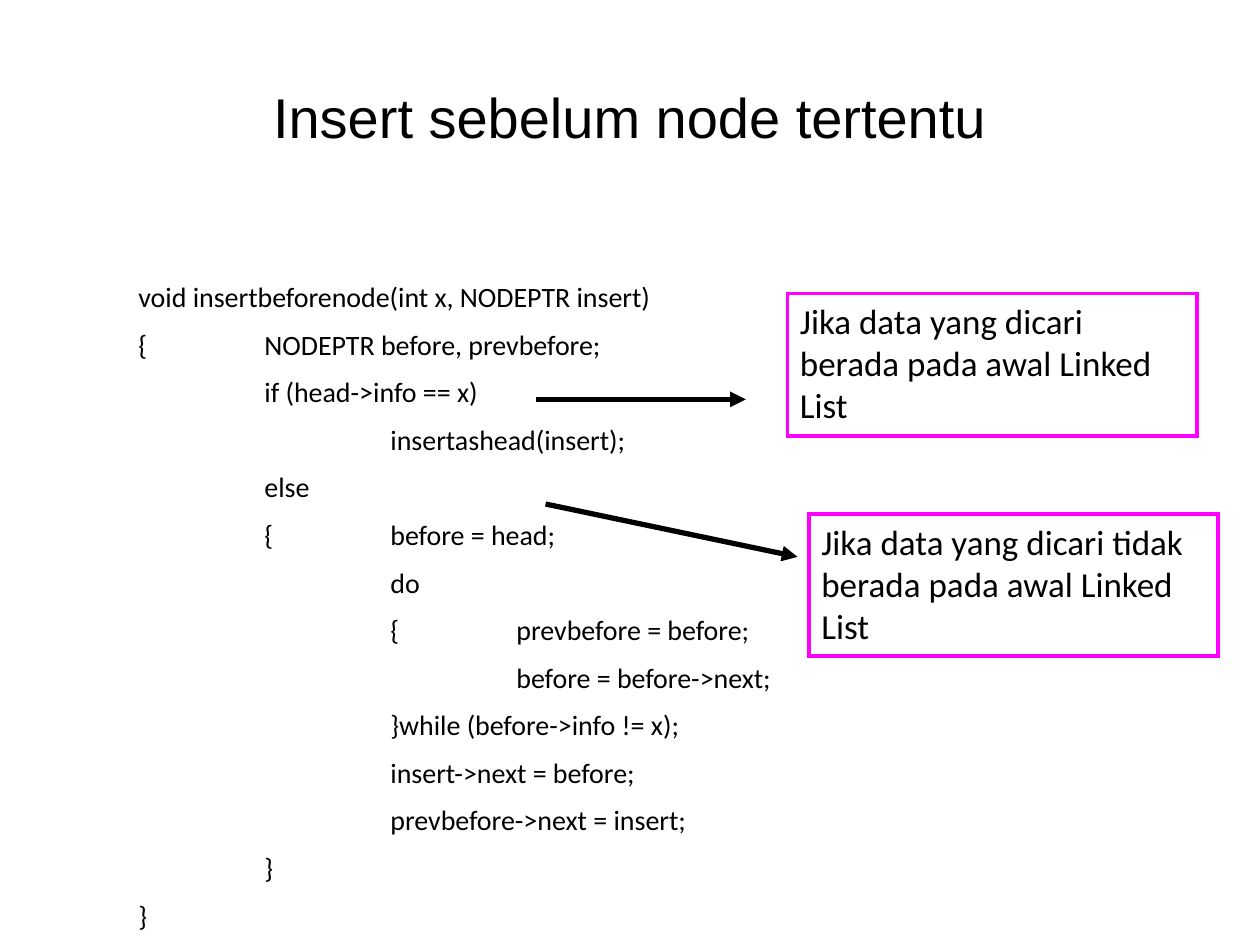
"""Builds the slide on inserting a linked-list node before a given node."""
from pptx import Presentation, util as u
from pptx.dml.color import RGBColor
from pptx.enum import shapes, text
from pptx.oxml import parse_xml
from pptx.oxml.ns import nsdecls

BLACK = RGBColor(0, 0, 0)
MAGENTA = RGBColor(255, 0, 255)
CODE = """void insertbeforenode(int x, NODEPTR insert)
{\tNODEPTR before, prevbefore;
\tif (head->info == x)
\t\tinsertashead(insert);
\telse
\t{\tbefore = head;
\t\tdo
\t\t{\tprevbefore = before;
\t\t\tbefore = before->next;
\t\t}while (before->info != x);
\t\tinsert->next = before;
\t\tprevbefore->next = insert;
\t}
}"""
CASES = [
    ("Jika data yang dicari berada pada awal Linked List",
     (6.25, 2.33), (4.25, 3.17, 5.92, 3.17)),
    ("Jika data yang dicari tidak berada pada awal Linked List",
     (6.42, 4.08), (4.33, 4, 6.33, 4.42)),
]


def write(frame, wording, size, font="Calibri", align=text.PP_ALIGN.LEFT,
          anchor=text.MSO_ANCHOR.TOP):
    frame.word_wrap = True
    frame.vertical_anchor = anchor
    frame.text = wording
    for index, line in enumerate(frame.paragraphs):
        line.alignment = align
        line.space_before = u.Pt(size / 2 if index else 0)
        line._p.get_or_add_pPr().set("defTabSz", str(u.Inches(1)))
        for key, value in {"name": font, "size": u.Pt(size)}.items():
            setattr(line.font, key, value)
        line.font.color.rgb = BLACK


def add_line_part(line, markup):
    line._get_or_add_ln().append(
        parse_xml(f'<a:{markup.split()[0]} {nsdecls("a")} {markup.split()[1]}/>'))


deck = Presentation()
deck.slide_width, deck.slide_height = u.Inches(10), u.Inches(7.5)
slide = deck.slides.add_slide(deck.slide_layouts[5])

heading = slide.shapes.title
place = {"left": 0.5, "top": 0.3, "width": 9, "height": 1.25}
for side, inches in place.items():
    setattr(heading, side, u.Inches(inches))
write(heading.text_frame, "Insert sebelum node tertentu", 32, "Arial",
      text.PP_ALIGN.CENTER, text.MSO_ANCHOR.MIDDLE)

listing = slide.shapes.add_textbox(*map(u.Inches, (1, 2.17, 8.58, 5.58)))
write(listing.text_frame, CODE, 16)

for wording, corner, ends in CASES:
    case = slide.shapes.add_shape(shapes.MSO_SHAPE.RECTANGLE,
                                  *map(u.Inches, (*corner, 3.25, 1.13)))
    case.shadow.inherit = False
    case.fill.background()
    case.line.color.rgb = MAGENTA
    case.line.width = u.Pt(2.25)
    add_line_part(case.line, 'miter lim="800000"')
    write(case.text_frame, wording, 20)

    pointer = slide.shapes.add_connector(shapes.MSO_CONNECTOR.STRAIGHT,
                                         *map(u.Inches, ends))
    pointer.line.color.rgb = BLACK
    pointer.line.width = u.Pt(3)
    add_line_part(pointer.line, 'tailEnd type="triangle"')
    pointer._element.spPr.append(parse_xml(f'<a:effectLst {nsdecls("a")}/>'))

deck.save("out.pptx")
